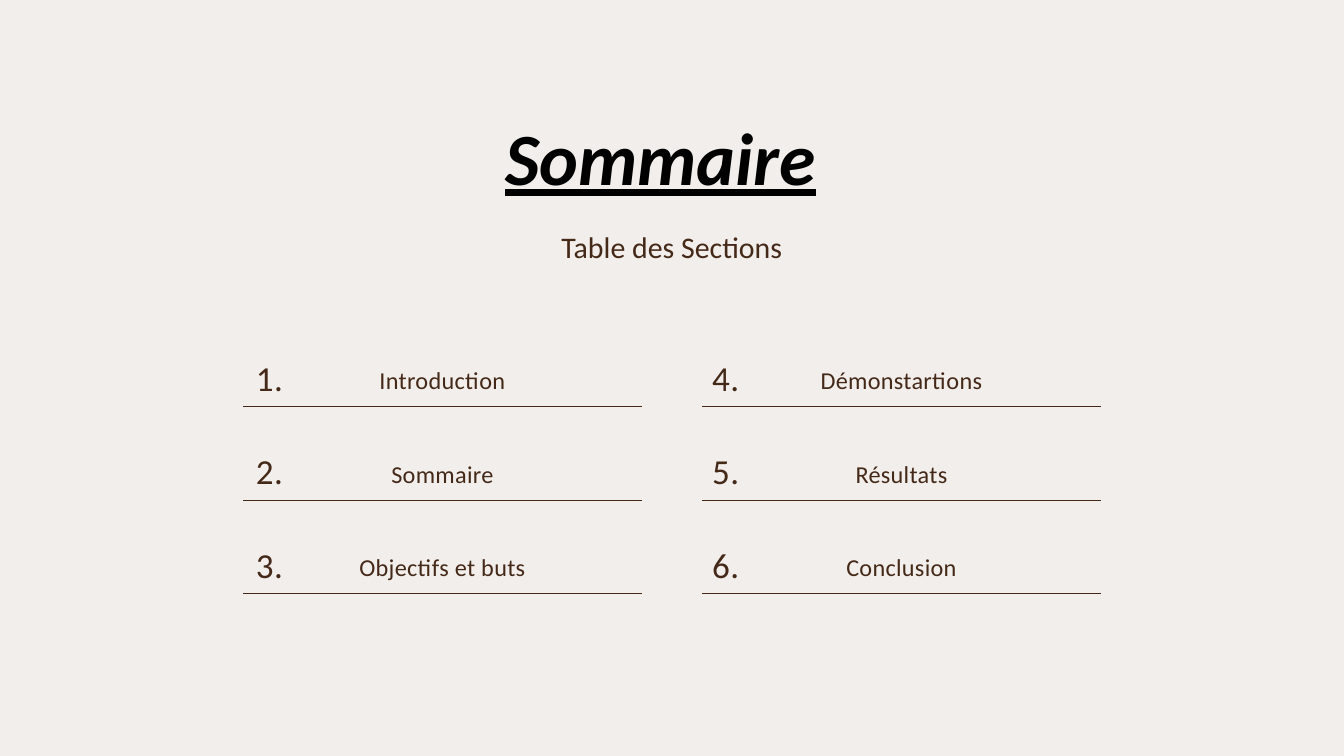
from pptx import Presentation
from pptx.dml.color import RGBColor
from pptx.enum.shapes import MSO_CONNECTOR
from pptx.enum.text import MSO_ANCHOR, MSO_AUTO_SIZE, PP_ALIGN
from pptx.oxml.ns import qn
from pptx.util import Pt
from lxml import etree

LINE = MSO_CONNECTOR.STRAIGHT
TOP = MSO_ANCHOR.TOP
GROW = MSO_AUTO_SIZE.SHAPE_TO_FIT_TEXT
CENTER = PP_ALIGN.CENTER

THEME = {
    "font": "Calibri",
    "background": RGBColor.from_string("F1EEEB"),
    "black": RGBColor.from_string("000000"),
    "brown": RGBColor.from_string("452918"),
    "title": {"size": 79, "leading": 94.8, "spacing": 0},
    "subtitle": {"size": 32, "leading": 38.4, "spacing": 0},
    "label": {"size": 26, "leading": 36.4, "spacing": 0.3},
    "number": {"size": 37.6, "leading": 52.7, "spacing": 0.5},
    "rule": 0.75,
}


def write(sp, box, text, style, color="brown", **extra):
    for name, value in zip(("left", "top", "width", "height"), box):
        setattr(sp, name, Pt(value))
    tf = sp.text_frame
    frame = {"word_wrap": True, "auto_size": GROW, "vertical_anchor": TOP,
             "margin_left": 0, "margin_top": 0, "margin_right": 0, "margin_bottom": 0}
    for name, value in frame.items():
        setattr(tf, name, value)
    fmt = THEME[style]
    p = tf.paragraphs[0]
    p.alignment = CENTER
    p.line_spacing = Pt(fmt["leading"])
    r = p.add_run()
    r.text = text
    font = {"name": THEME["font"], "size": Pt(fmt["size"]), **extra}
    for name, value in font.items():
        setattr(r.font, name, value)
    r.font.color.rgb = THEME[color]
    if fmt["spacing"]:
        r.font._element.set("spc", str(round(fmt["spacing"] * 100)))


prs = Presentation()
prs.slide_width, prs.slide_height = Pt(1440), Pt(810)
s = prs.slides.add_slide(prs.slide_layouts[5])
s.background.fill.solid()
s.background.fill.fore_color.rgb = THEME["background"]

write(s.shapes.title, (248.4, 119.5, 918.7, 100.8), "Sommaire", "title", "black",
      bold=True, italic=True, underline=True)
write(s.shapes.add_textbox(0, 0, 0, 0), (260.6, 244.8, 918.7, 40.3),
      "Table des Sections", "subtitle")

columns = [
    (260.6, 231.1, ["Introduction", "Sommaire", "Objectifs et buts"]),
    (752.4, 720, ["Démonstartions", "Résultats", "Conclusion"]),
]
row_top, row_pitch, col_width = 386.6, 100.2, 427
number = 0
for left, number_left, sections in columns:
    for row, section in enumerate(sections):
        number += 1
        top = row_top + row * row_pitch
        rule_y = Pt(top + 49)
        cn = s.shapes.add_connector(LINE, Pt(left), rule_y, Pt(left + col_width), rule_y)
        cn.line.color.rgb = THEME["brown"]
        cn.line.width = Pt(THEME["rule"])
        etree.SubElement(cn._element.spPr, qn("a:effectLst"))
        write(s.shapes.add_textbox(0, 0, 0, 0), (left, top, col_width, 36.7), section, "label")
        write(s.shapes.add_textbox(0, 0, 0, 0), (number_left, top - 12.5, 115.2, 52.6),
              f"{number}.", "number")

prs.save("out.pptx")
